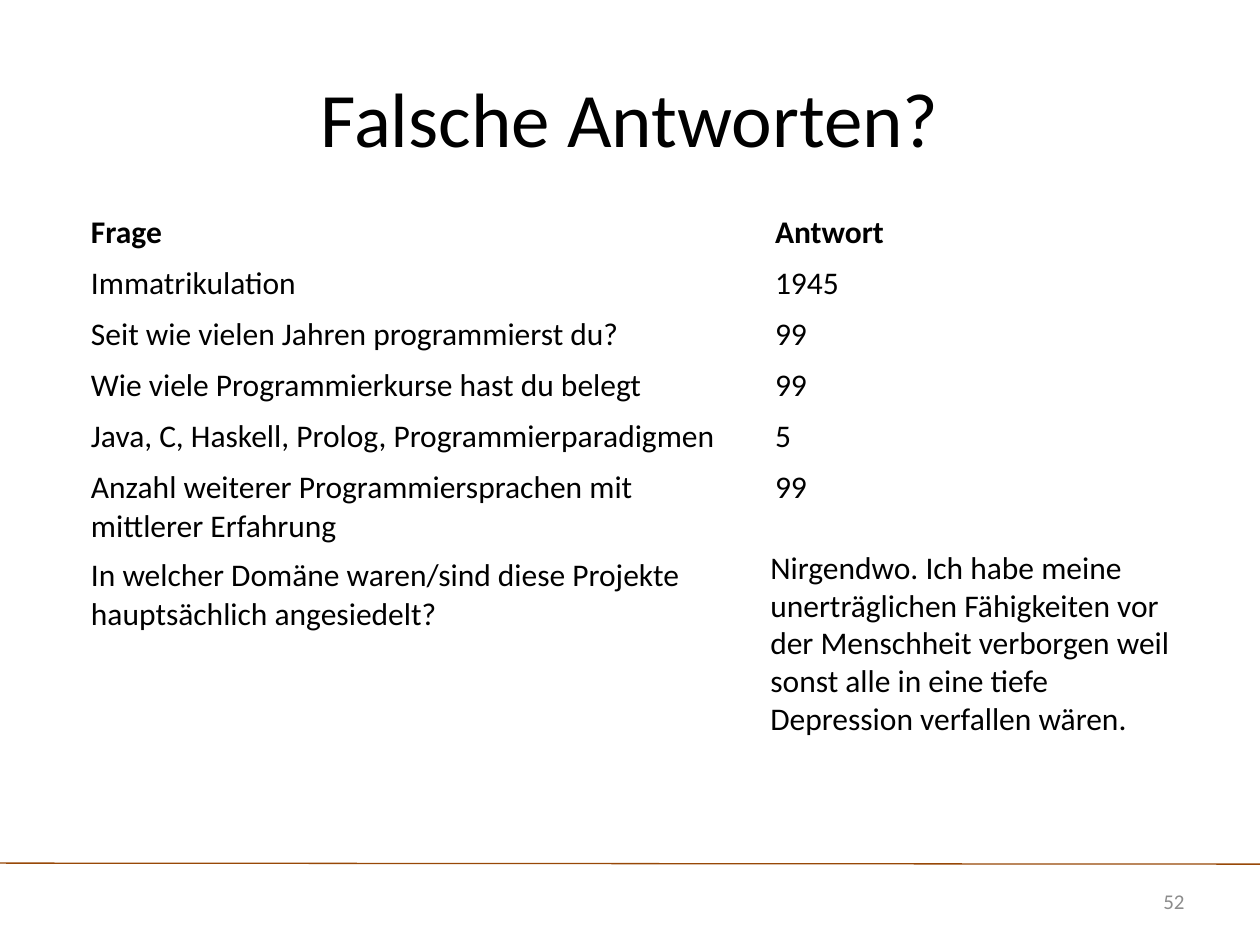
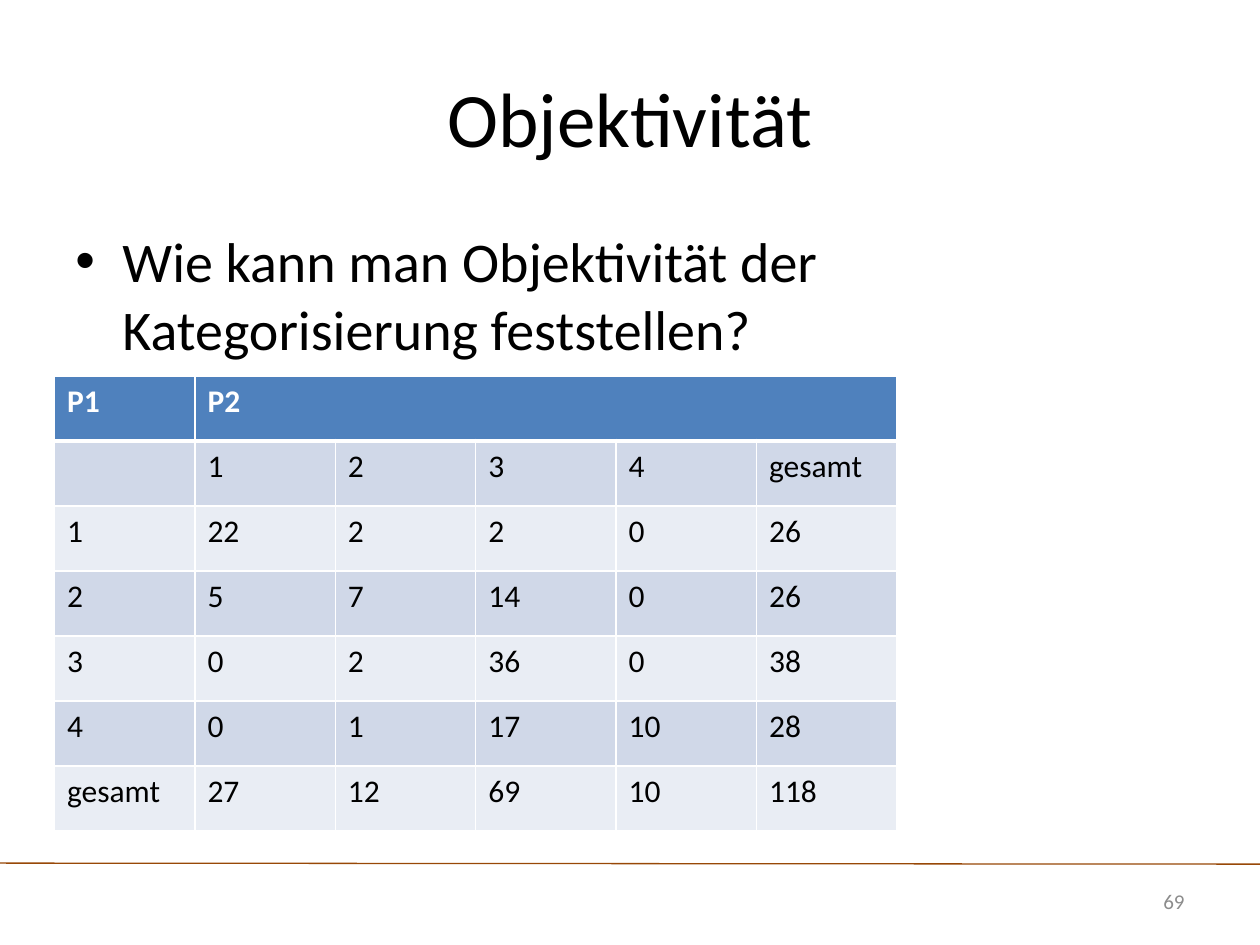
from lxml import etree
from pptx import Presentation
from pptx.dml.color import RGBColor
from pptx.enum.shapes import MSO_CONNECTOR
from pptx.enum.text import MSO_ANCHOR, PP_ALIGN
from pptx.oxml.ns import qn
from pptx.util import Cm, Pt

STRAIGHT = MSO_CONNECTOR.STRAIGHT
MIDDLE, TOP = MSO_ANCHOR.MIDDLE, MSO_ANCHOR.TOP
LEFT, CENTER, RIGHT = PP_ALIGN.LEFT, PP_ALIGN.CENTER, PP_ALIGN.RIGHT

FONT = "Calibri"
COLORS = {
    "text": "000000", "white": "FFFFFF", "number": "8C8C8C", "rule": "984807",
    "header": "4F81BD", "band_dark": "D0D8E8", "band_light": "E9EDF4",
}

ANSWERS = [
    ("Frage", "Antwort"),
    ("Immatrikulation", "1945"),
    ("Seit wie vielen Jahren programmierst du?", "99"),
    ("Wie viele Programmierkurse hast du belegt", "99"),
    ("Java, C, Haskell, Prolog, Programmierparadigmen", "5"),
    ("Anzahl weiterer Programmiersprachen mit mittlerer Erfahrung", "99"),
    ("In welcher Domäne waren/sind diese Projekte hauptsächlich angesiedelt?", ""),
    ("", ""),
]
LONG_ANSWER = (
    "Nirgendwo. Ich habe meine unerträglichen Fähigkeiten vor der Menschheit "
    "verborgen weil sonst alle in eine tiefe Depression verfallen wären."
)
QUESTION = "Wie kann man Objektivität der Kategorisierung feststellen?"
RATINGS = [
    ("P1", "P2", "", "", "", ""),
    ("", "1", "2", "3", "4", "gesamt"),
    ("1", "22", "2", "2", "0", "26"),
    ("2", "5", "7", "14", "0", "26"),
    ("3", "0", "2", "36", "0", "38"),
    ("4", "0", "1", "17", "10", "28"),
    ("gesamt", "27", "12", "69", "10", "118"),
]


def rgb(name):
    return RGBColor.from_string(COLORS[name])


def style(paragraph, size, color="text", align=LEFT, bold=False):
    paragraph.alignment = align
    font = paragraph.font
    font.name, font.size, font.bold = FONT, Pt(size), bold
    font.color.rgb = rgb(color)


def add_text(page, text, place, size, color="text", align=LEFT, anchor=TOP, bullet=False):
    box = page.shapes.add_textbox(*map(Cm, place))
    frame = box.text_frame
    frame.word_wrap = True
    frame.vertical_anchor = anchor
    paragraph = frame.paragraphs[0]
    paragraph.text = text
    if bullet:
        properties = paragraph._p.get_or_add_pPr()
        properties.set("marL", str(Cm(0.95)))
        properties.set("indent", str(-Cm(0.95)))
        etree.SubElement(properties, qn("a:buFont"), typeface="Arial")
        etree.SubElement(properties, qn("a:buChar"), char="•")
    style(paragraph, size, color, align)


def add_page(deck, title, number):
    page = deck.slides.add_slide(deck.slide_layouts[5])
    rule = page.shapes.add_connector(STRAIGHT, 0, Cm(17.4), deck.slide_width, Cm(17.42))
    rule.line.color.rgb = rgb("rule")
    rule.line.width = Pt(0.75)
    etree.SubElement(rule._element.spPr, qn("a:effectLst"))

    heading = page.shapes.title
    heading.left, heading.top, heading.width, heading.height = map(Cm, (1.27, 0.76, 22.86, 3.18))
    heading.text_frame.text = title
    heading.text_frame.vertical_anchor = MIDDLE
    style(heading.text_frame.paragraphs[0], 44, align=CENTER)
    add_text(page, str(number), (21.82, 17.65, 2.31, 1.02), 12, "number", RIGHT, MIDDLE)
    return page


def set_borders(cell, row):
    widths = {"L": 1, "R": 1, "T": 3 if row == 1 else 1, "B": 3 if row == 0 else 1}
    for side, width in widths.items():
        line = etree.SubElement(cell._tc.get_or_add_tcPr(), qn(f"a:ln{side}"), w=str(Pt(width)))
        fill = etree.SubElement(line, qn("a:solidFill"))
        etree.SubElement(fill, qn("a:srgbClr"), val=COLORS["white"])


def add_grid(page, rows, left, top, widths, row_height, header_color="text", fills=None):
    frame = page.shapes.add_table(
        len(rows), len(widths), Cm(left), Cm(top), Cm(sum(widths)), Cm(row_height * len(rows)))
    table = frame.table
    for column, width in zip(table.columns, widths):
        column.width = Cm(width)
    for row, values in enumerate(rows):
        table.rows[row].height = Cm(row_height)
        for column, value in enumerate(values):
            cell = table.cell(row, column)
            set_borders(cell, row)
            if fills:
                cell.fill.solid()
                cell.fill.fore_color.rgb = rgb(fills[0] if row == 0 else fills[2 - row % 2])
            else:
                cell.fill.background()
            cell.text = value
            style(cell.text_frame.paragraphs[0], 18,
                  header_color if row == 0 else "text", bold=row == 0)
    return table


def main():
    deck = Presentation()
    deck.slide_width, deck.slide_height = Cm(25.4), Cm(19.05)

    page = add_page(deck, "Falsche Antworten?", 52)
    add_grid(page, ANSWERS, 1.58, 4.17, (13.79, 8.64), 1.03)
    add_text(page, LONG_ANSWER, (15.28, 10.92, 8.94, 4.11), 18)

    page = add_page(deck, "Objektivität", 69)
    add_text(page, QUESTION, (1.27, 4.45, 22.86, 12.57), 32, bullet=True)
    table = add_grid(page, RATINGS, 1.1, 7.58, [2.83] * 6, 1.31, "white",
                     ("header", "band_dark", "band_light"))
    table.cell(0, 1).merge(table.cell(0, 5))

    deck.save("out.pptx")


if __name__ == "__main__":
    main()
